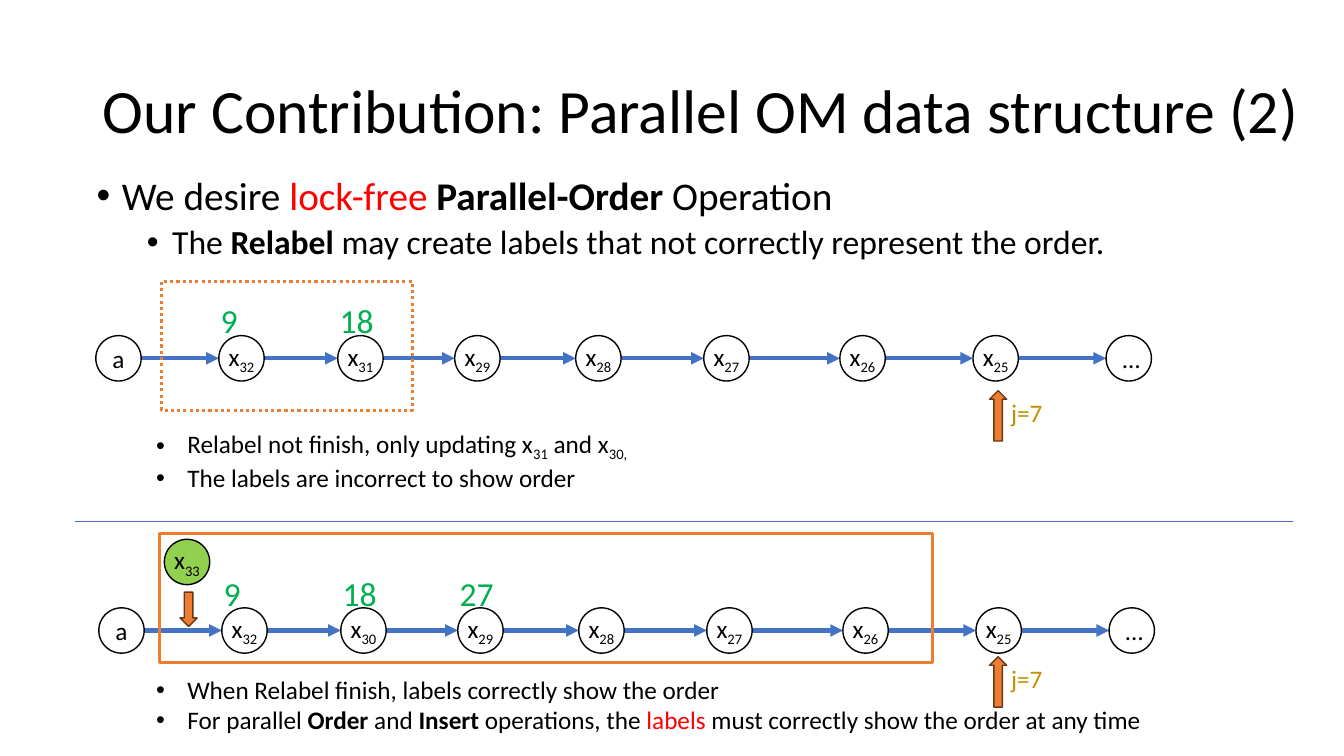
import pptx
import pptx.dml.color
import pptx.enum.dml
import pptx.enum.shapes
import pptx.enum.text
import pptx.oxml.ns
import pptx.util
from lxml import etree

Inches = pptx.util.Inches
Pt = pptx.util.Pt
SHAPES = pptx.enum.shapes.MSO_SHAPE
ALIGN = pptx.enum.text.PP_ALIGN
ANCHOR = pptx.enum.text.MSO_ANCHOR

COLORS = {
    "black": "000000", "white": "FFFFFF", "red": "FF0000", "label": "00B050",
    "inserted": "92D050", "link": "4472C4", "orange": "ED7D31",
    "arrow_edge": "683715", "index": "BF9000",
}
NODE_SIZE = 0.45
NODE_LEFTS = [0.95, 2.17, 3.35, 4.51, 5.71, 6.98, 8.33, 9.65, 10.97]

# Span formats
BOLD = {"bold": True}
RED = {"color": "red"}
SUB = {"subscript": True}


def rgb(name):
    return pptx.dml.color.RGBColor.from_string(COLORS[name])


def add_element(parent, tag, **attributes):
    return etree.SubElement(parent, pptx.oxml.ns.qn(tag), attributes)


def write_text(box, paragraphs, size=18, color="black", align=None, anchor=ANCHOR.TOP,
               inset=None, bullets=None, line_spacing=None, space_before=0):
    """Each paragraph lists (text, format) spans; bullets is (left, hanging) per paragraph."""
    frame = box.text_frame
    frame.word_wrap = True
    frame.vertical_anchor = anchor
    if inset is not None:
        frame.margin_left = frame.margin_right = Inches(inset)
        frame.margin_top = frame.margin_bottom = Inches(inset)
    for number, spans in enumerate(paragraphs):
        para = frame.add_paragraph() if number else frame.paragraphs[0]
        if bullets:
            left, hanging = bullets[number]
            properties = para._p.get_or_add_pPr()
            properties.set("marL", str(Inches(left)))
            properties.set("indent", str(-Inches(hanging)))
            add_element(properties, "a:buFont", typeface="Arial")
            add_element(properties, "a:buChar", char="•")
        if align is not None:
            para.alignment = align
        if line_spacing:
            para.line_spacing = line_spacing
        if number and space_before:
            para.space_before = Pt(space_before)
        for text, style in spans:
            span = para.add_run()
            span.text = text
            span.font.name = "Calibri"
            span.font.size = Pt(style.get("size", size))
            span.font.bold = style.get("bold", False)
            span.font.color.rgb = rgb(style.get("color", color))
            if style.get("subscript"):
                span._r.get_or_add_rPr().set("baseline", "-25000")


def add_text(page, left, top, width, height, paragraphs, **style):
    box = page.shapes.add_textbox(Inches(left), Inches(top), Inches(width), Inches(height))
    write_text(box, paragraphs, **style)


def add_figure(page, kind, left, top, width, height, fill=None, line="black", weight=1):
    figure = page.shapes.add_shape(kind, Inches(left), Inches(top), Inches(width), Inches(height))
    figure.shadow.inherit = False
    if fill:
        figure.fill.solid()
        figure.fill.fore_color.rgb = rgb(fill)
    else:
        figure.fill.background()
    figure.line.color.rgb = rgb(line)
    figure.line.width = Pt(weight)
    return figure


def add_line(page, start, end, weight, arrow=False):
    line = page.shapes.add_connector(
        pptx.enum.shapes.MSO_CONNECTOR.STRAIGHT,
        Inches(start[0]), Inches(start[1]), Inches(end[0]), Inches(end[1]))
    line.line.color.rgb = rgb("link")
    line.line.width = Pt(weight)
    if arrow:
        add_element(line.line._get_or_add_ln(), "a:tailEnd", type="triangle")
    add_element(line._element.spPr, "a:effectLst")


def add_node(page, left, top, name, fill="white"):
    """Draw a round node; a number becomes the subscript of x."""
    node = add_figure(page, SHAPES.OVAL, left, top, NODE_SIZE, NODE_SIZE, fill)
    numbered = name.isdigit()
    spans = [("x", {}), (name, SUB)] if numbered else [(name, {})]
    write_text(node, [spans], align=ALIGN.CENTER, anchor=ANCHOR.MIDDLE,
               inset=0 if numbered else None)


def add_chain(page, shift, top, names, labels):
    """Draw linked nodes, with labels above the nodes that follow the first."""
    lefts = [left + shift for left in NODE_LEFTS]
    middle = top + NODE_SIZE / 2
    for left, following in zip(lefts, lefts[1:]):
        add_line(page, (left + NODE_SIZE, middle), (following, middle), 3, arrow=True)
    for left, name in zip(lefts, names):
        add_node(page, left, top, name)
    for left, label in zip(lefts[1:], labels):
        add_text(page, left - 0.08, top - 0.4, 0.62, 0.5, [[(label, {})]],
                 size=24, color="label")


def add_block_arrow(page, left, top, length, rotation):
    arrow = add_figure(page, SHAPES.RIGHT_ARROW, left, top, length, 0.17, "orange", "arrow_edge")
    arrow.rotation = rotation


def add_index_marker(page, top):
    add_block_arrow(page, 9.65, top, 0.5, 270)
    add_text(page, 9.93, top - 0.15, 0.67, 0.4, [[("j=7", {})]], color="index")


def add_notes_list(page, top, width, paragraphs):
    add_text(page, 1.45, top, width, 0.71, paragraphs, bullets=[(0.31, 0.31)] * 2)


def main():
    deck = pptx.Presentation()
    deck.slide_width, deck.slide_height = Inches(13.33), Inches(7.5)
    page = deck.slides.add_slide(deck.slide_layouts[6])

    # Title and main points
    add_text(page, 0.92, 0.4, 12.08, 1.45,
             [[("Our Contribution: Parallel OM data structure (2)", {})]],
             size=44, anchor=ANCHOR.MIDDLE, line_spacing=0.9)
    small = {"size": 24}
    add_text(page, 0.86, 1.7, 11.5, 1.0, [
        [("We desire ", {}), ("lock-free ", RED), ("Parallel-Order ", BOLD), ("Operation", {})],
        [("The ", small), ("Relabel", {"size": 24, "bold": True}),
         (" may create labels that not correctly represent the order.", small)],
    ], size=28, bullets=[(0.25, 0.25), (0.75, 0.25)], line_spacing=0.9, space_before=5)

    # Unfinished relabel
    add_notes_list(page, 4.2, 6.49, [
        [("Relabel not finish, only updating x", {}), ("31", SUB), (" and x", {}), ("30,", SUB)],
        [("The labels are incorrect to show order", {})],
    ])
    add_chain(page, 0, 3.33, ["a", "32", "31", "29", "28", "27", "26", "25", "…"], ["9", "18"])
    unfinished = add_figure(page, SHAPES.RECTANGLE, 1.6, 2.79, 2.49, 1.28,
                            line="orange", weight=2.25)
    unfinished.line.dash_style = pptx.enum.dml.MSO_LINE.ROUND_DOT
    add_index_marker(page, 4.04)

    add_line(page, (0.74, 5.17), (12.82, 5.17), 0.5)

    # Finished relabel with the inserted node
    add_chain(page, 0.03, 6.03, ["a", "32", "30", "29", "28", "27", "26", "25", "…"],
              ["9", "18", "27"])
    add_node(page, 1.63, 5.35, "33", "inserted")
    add_block_arrow(page, 1.7, 5.96, 0.34, 90)
    add_figure(page, SHAPES.RECTANGLE, 1.58, 5.29, 7.67, 1.28, line="orange", weight=2.25)
    add_notes_list(page, 6.64, 10.09, [
        [("When Relabel finish, labels correctly show the order", {})],
        [("For parallel ", {}), ("Order", BOLD), (" and ", {}), ("Insert ", BOLD),
         ("operations, the ", {}), ("labels", RED),
         (" must correctly show the order at any time", {})],
    ])
    add_index_marker(page, 6.68)

    deck.save("out.pptx")


if __name__ == "__main__":
    main()
